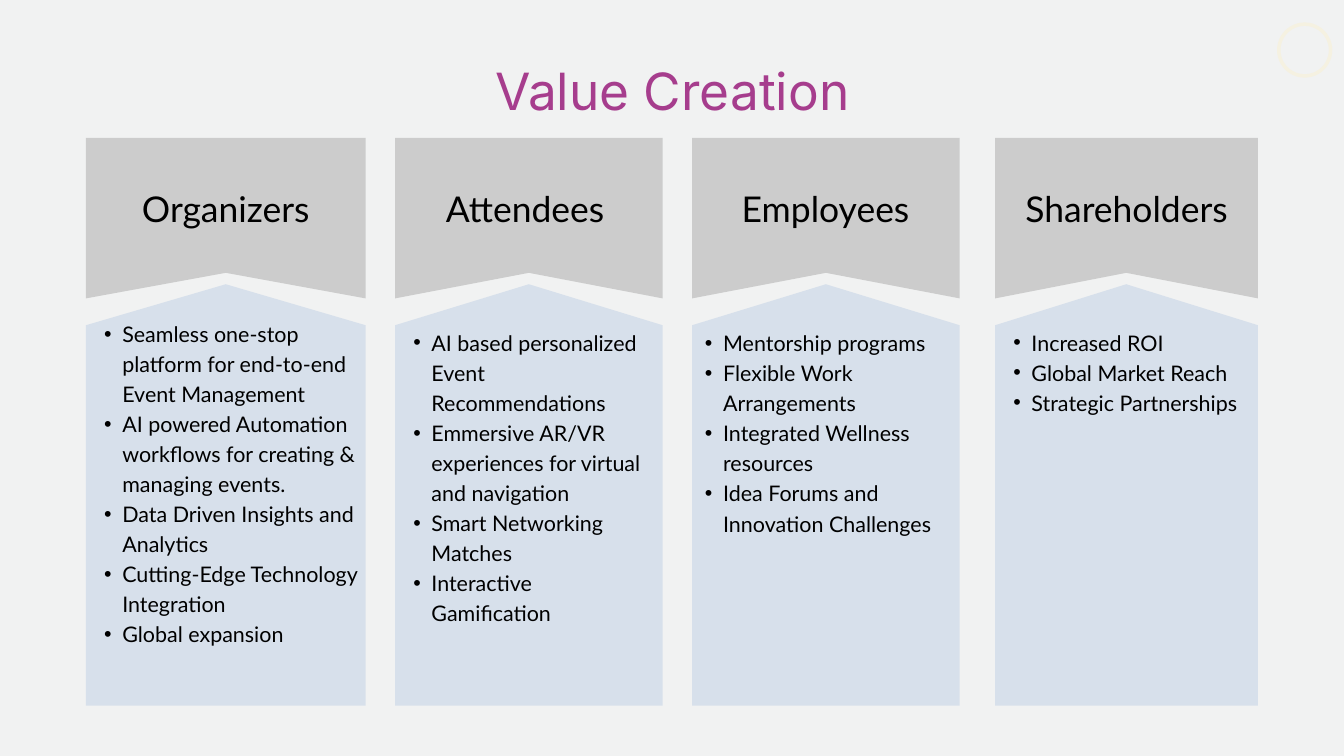
import dataclasses

import lxml.etree
import pptx
import pptx.dml.color
import pptx.enum.shapes
import pptx.enum.text
import pptx.oxml.ns
import pptx.util

SCALE = 9144


@dataclasses.dataclass(frozen=True)
class Theme:
    """Colours, fonts and type sizes of the slide."""
    background: str = "F1F2F2"
    ring: str = "F5F1E1"
    header: str = "CCCCCC"
    panel: str = "D7E0EB"
    title: str = "A63D8D"
    text: str = "000000"
    title_font: str = "Inter"
    body_font: str = "Lato"
    title_size: int = 55
    heading_size: int = 38
    body_size: int = 23
    line_height: float = 1.4


@dataclasses.dataclass(frozen=True)
class Column:
    """One audience with its geometry and benefits."""
    heading: str
    left: int
    width: int
    heading_left: int
    heading_width: int
    list_box: tuple
    benefits: tuple


COLUMNS = (
    Column("Organizers", 128, 416, 198, 276, (128, 471, 415, 568), (
        "Seamless one-stop platform for end-to-end Event Management",
        "AI powered Automation workflows for creating & managing events.",
        "Data Driven Insights and Analytics",
        "Cutting-Edge Technology Integration",
        "Global expansion")),
    Column("Attendees", 588, 398, 638, 287, (588, 484, 389, 480), (
        "AI based personalized Event Recommendations",
        "Emmersive AR/VR experiences for virtual and navigation",
        "Smart Networking Matches",
        "Interactive Gamification")),
    Column("Employees", 1030, 398, 1081, 295, (1022, 485, 398, 305), (
        "Mentorship programs",
        "Flexible Work Arrangements",
        "Integrated Wellness resources",
        "Idea Forums and Innovation Challenges")),
    Column("Shareholders", 1481, 391, 1504, 345, (1481, 484, 374, 174), (
        "Increased ROI",
        "Global Market Reach",
        "Strategic Partnerships")),
)


def emu(length):
    """Turn px into EMU."""
    return pptx.util.Emu(length * SCALE)


def rgb(colour):
    """Turn a hex string into a colour."""
    return pptx.dml.color.RGBColor.from_string(colour)


class SlideBuilder:
    """Draws styled elements on the current slide."""

    def __init__(self, slide, theme):
        """Keep the slide and theme, and paint the background."""
        self.slide = slide
        self.theme = theme
        slide.background.fill.solid()
        slide.background.fill.fore_color.rgb = rgb(theme.background)

    def ring(self, left, top, diameter):
        """Draw an unfilled circle."""
        shape = self.slide.shapes.add_shape(
            pptx.enum.shapes.MSO_SHAPE.OVAL,
            emu(left), emu(top), emu(diameter), emu(diameter))
        shape.shadow.inherit = False
        shape.fill.background()
        shape.line.color.rgb = rgb(self.theme.ring)
        shape.line.width = pptx.util.Pt(3.75)

    def polygon(self, points, colour):
        """Draw a closed filled outline."""
        builder = self.slide.shapes.build_freeform(*points[0], scale=SCALE)
        builder.add_line_segments(points[1:], close=True)
        shape = builder.convert_to_shape()
        shape.shadow.inherit = False
        shape.fill.solid()
        shape.fill.fore_color.rgb = rgb(colour)
        shape.line.fill.background()

    def header(self, left, width):
        """Draw a heading block with a notch below."""
        right, middle = left + width, left + width // 2
        self.polygon([(left, 205), (right, 205), (right, 444),
                      (middle, 406), (left, 444)], self.theme.header)

    def panel(self, left, width):
        """Draw a list panel with a peak above."""
        right, middle = left + width, left + width // 2
        self.polygon([(left, 1050), (left, 484), (middle, 423),
                      (right, 484), (right, 1050)], self.theme.panel)

    def text(self, box, lines, size, font, colour, bulleted=False):
        """Write centred lines or a bulleted list."""
        frame = self.slide.shapes.add_textbox(*map(emu, box)).text_frame
        frame.word_wrap = True
        frame.margin_left = frame.margin_right = 0
        frame.margin_top = frame.margin_bottom = 0
        for index, line in enumerate(lines):
            paragraph = frame.add_paragraph() if index else frame.paragraphs[0]
            if bulleted:
                self.bullet(paragraph)
            else:
                paragraph.alignment = pptx.enum.text.PP_ALIGN.CENTER
            paragraph.line_spacing = pptx.util.Pt(size * self.theme.line_height)
            run = paragraph.add_run()
            run.text = line
            run.font.size = pptx.util.Pt(size)
            run.font.name = font
            run.font.color.rgb = rgb(colour)

    def bullet(self, paragraph):
        """Give a paragraph a hanging bullet."""
        paragraph.level = 1
        properties = paragraph._p.get_or_add_pPr()
        properties.set("marL", str(emu(54)))
        properties.set("indent", str(emu(-27)))
        for tag, name, value in (("a:buFont", "typeface", "Arial"),
                                 ("a:buChar", "char", "•")):
            lxml.etree.SubElement(
                properties, pptx.oxml.ns.qn(tag)).set(name, value)

    def title(self, box, text):
        """Write the slide title."""
        theme = self.theme
        self.text(box, [text], theme.title_size, theme.title_font, theme.title)

    def heading(self, box, text):
        """Write a column heading."""
        theme = self.theme
        self.text(box, [text], theme.heading_size, theme.body_font, theme.text)

    def bullets(self, box, lines):
        """Write a column's bulleted list."""
        theme = self.theme
        self.text(box, lines, theme.body_size, theme.body_font, theme.text, True)


def main():
    """Build and save the slide."""
    presentation = pptx.Presentation()
    presentation.slide_width = emu(2000)
    presentation.slide_height = emu(1125)
    slide = presentation.slides.add_slide(presentation.slide_layouts[6])
    builder = SlideBuilder(slide, Theme())
    builder.ring(1903, 36, 77)
    for column in COLUMNS:
        builder.header(column.left, column.width)
        builder.panel(column.left, column.width)
    builder.title((161, 73, 1679, 101), "Value Creation")
    for column in COLUMNS:
        builder.heading((column.heading_left, 268, column.heading_width, 71),
                        column.heading)
        builder.bullets(column.list_box, column.benefits)
    presentation.save("out.pptx")


if __name__ == "__main__":
    main()
